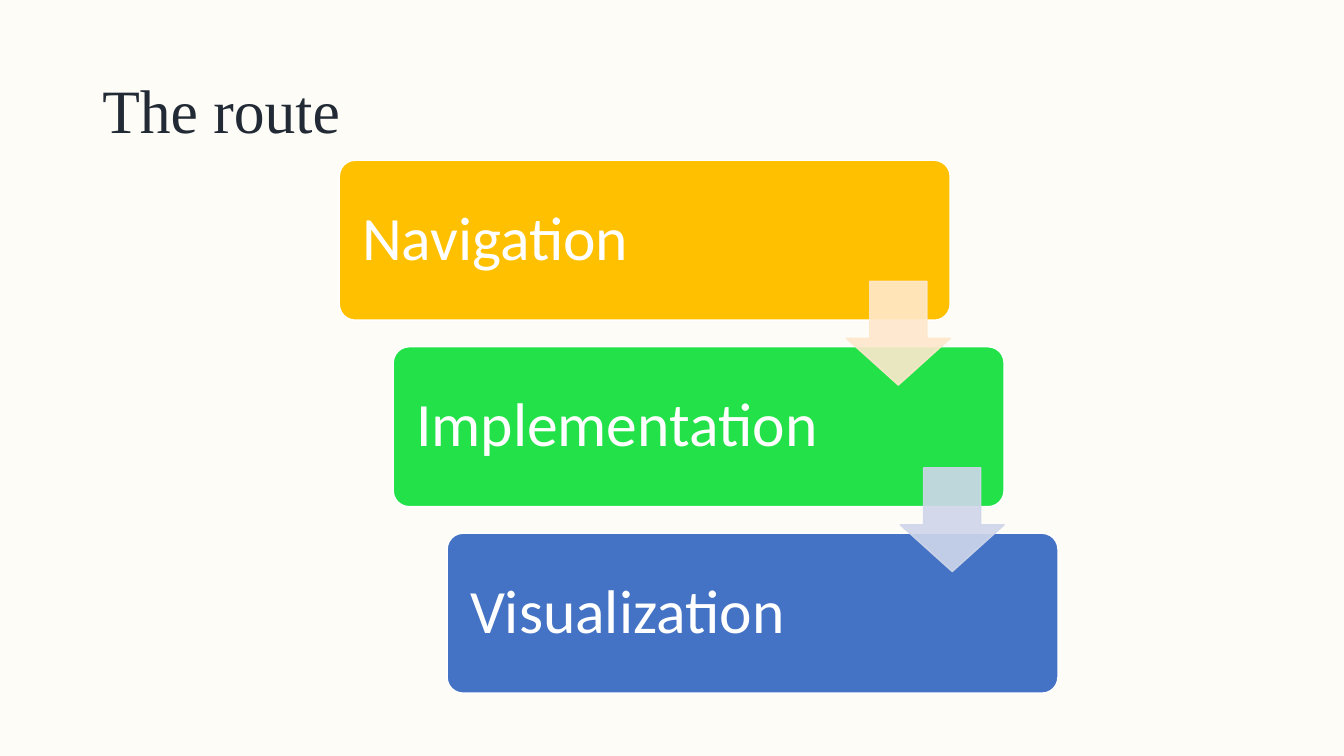
from pptx import Presentation
from pptx.dml.color import RGBColor
from pptx.enum.shapes import MSO_SHAPE
from pptx.enum.text import MSO_ANCHOR, PP_ALIGN
from pptx.oxml.ns import qn
from pptx.util import Pt
from lxml import etree

ROUND, ARROW = MSO_SHAPE.ROUNDED_RECTANGLE, MSO_SHAPE.DOWN_ARROW
MIDDLE, LEFT = MSO_ANCHOR.MIDDLE, PP_ALIGN.LEFT
CREAM = RGBColor(0xFE, 0xFC, 0xF7)
NAVY = RGBColor(0x22, 0x2A, 0x35)
WHITE = RGBColor(0xFF, 0xFF, 0xFF)
GOLD = RGBColor(0xFF, 0xC0, 0x00)
GREEN = RGBColor(0x23, 0xE1, 0x48)
BLUE = RGBColor(0x44, 0x72, 0xC4)
PEACH = RGBColor(0xFF, 0xE8, 0xCC)
LAVENDER = RGBColor(0xCF, 0xD6, 0xEA)

TITLE = "The route"
STEPS = [("Navigation", GOLD), ("Implementation", GREEN), ("Visualization", BLUE)]
ARROWS = [PEACH, LAVENDER]
BOX_X, BOX_Y, BOX_W, BOX_H = 242.4, 114.5, 436.3, 114.2
STEP_X, STEP_Y = 38.5, 133.2
ARROW_DX, ARROW_DY, ARROW_SIZE = 362.2, 86.4, 74.2
TITLE_FONT = {"name": "Times New Roman", "size": Pt(44)}
STEP_FONT = {"name": "Calibri", "size": Pt(44)}
STEP_FRAME = {"margin_left": Pt(13), "margin_right": Pt(13)}


def write(sp, text, font, color, frame):
    tf = sp.text_frame
    for name, value in {"word_wrap": True, "vertical_anchor": MIDDLE, **frame}.items():
        setattr(tf, name, value)
    p = tf.paragraphs[0]
    p.alignment, p.line_spacing = LEFT, 0.9
    r = p.add_run()
    r.text = text
    for name, value in font.items():
        setattr(r.font, name, value)
    r.font.color.rgb = color


def add_shape(kind, x, y, w, h, adjustments, fill, line):
    sp = s.shapes.add_shape(kind, Pt(x), Pt(y), Pt(w), Pt(h))
    sp.shadow.inherit = False
    for i, value in enumerate(adjustments):
        sp.adjustments[i] = value
    sp.fill.solid()
    sp.fill.fore_color.rgb = fill
    sp.line.color.rgb = line
    sp.line.width = Pt(1)
    return sp


prs = Presentation()
prs.slide_width, prs.slide_height = Pt(960), Pt(540)
s = prs.slides.add_slide(prs.slide_layouts[6])
s.background.fill.solid()
s.background.fill.fore_color.rgb = CREAM

title = s.shapes.add_textbox(Pt(66), Pt(28.75), Pt(828), Pt(104.4))
write(title, TITLE, TITLE_FONT, NAVY, {})

for i, (label, color) in enumerate(STEPS):
    box = add_shape(ROUND, BOX_X + i * STEP_X, BOX_Y + i * STEP_Y,
                    BOX_W, BOX_H, [0.1], color, WHITE)
    write(box, label, STEP_FONT, WHITE, STEP_FRAME)

for i, color in enumerate(ARROWS):
    arrow = add_shape(ARROW, BOX_X + ARROW_DX + i * STEP_X, BOX_Y + ARROW_DY + i * STEP_Y,
                      ARROW_SIZE, ARROW_SIZE, [0.55, 0.45], color, color)
    for clr in arrow.element.spPr.iter(qn("a:srgbClr")):
        etree.SubElement(clr, qn("a:alpha")).set("val", "90000")

prs.save("out.pptx")
